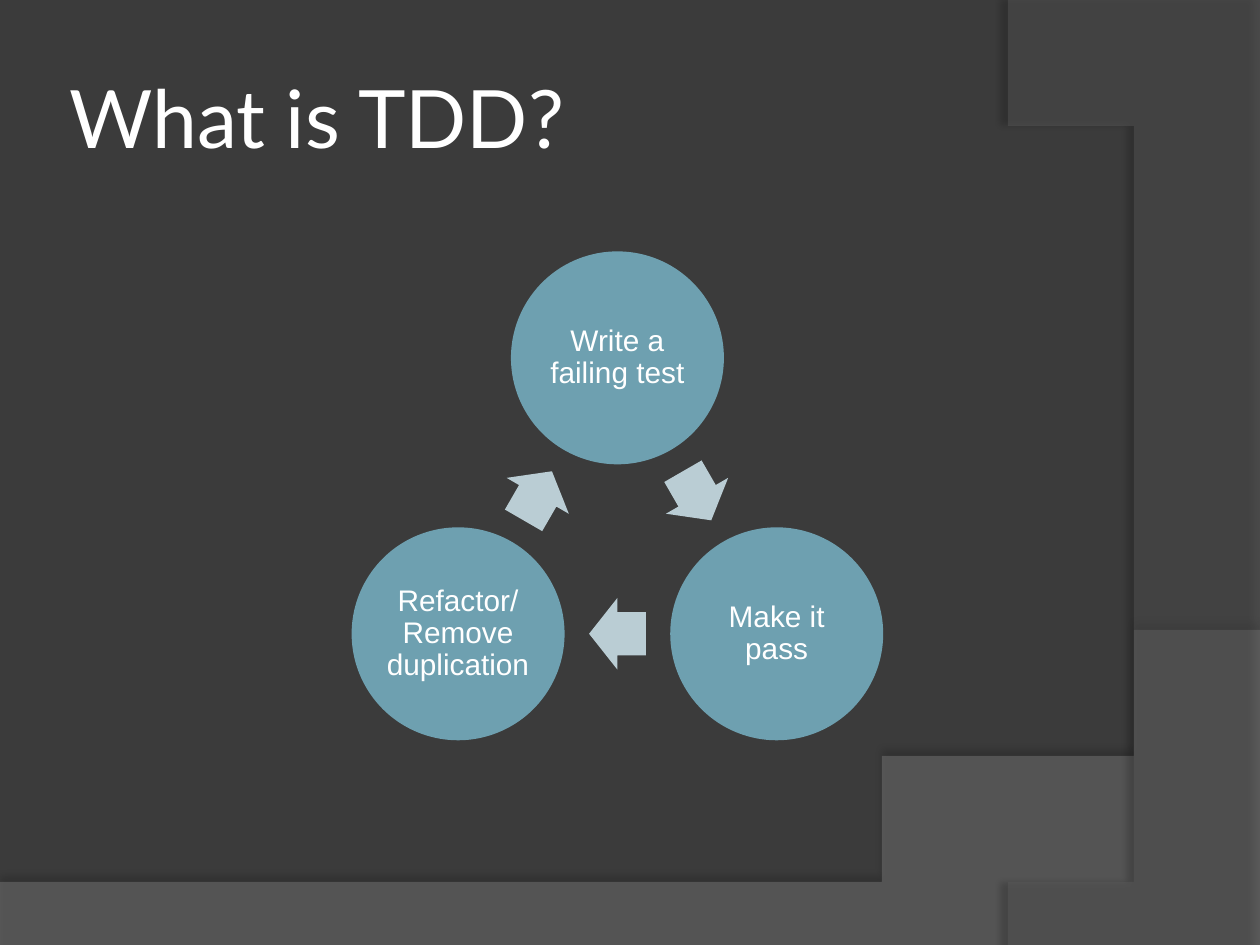
from math import cos, radians, sin

from lxml import etree
from pptx import Presentation
from pptx.dml.color import RGBColor
from pptx.enum.shapes import MSO_SHAPE as Shape
from pptx.enum.text import MSO_ANCHOR as Anchor, PP_ALIGN as Align
from pptx.oxml.ns import qn
from pptx.util import Inches, Pt

COLORS = {
    "back": "3B3B3B", "wave": "7F7F7F", "side": "5E5E5E", "shade": "000000",
    "step": "6EA0B0", "arrow": "BACDD4", "text": "FFFFFF",
}


def color(name):
    return RGBColor.from_string(COLORS[name])


def curve(a, b, c, d, count=60):
    """Points along a cubic curve from a to d."""
    points = []
    for i in range(count + 1):
        t = i / count
        u = 1 - t
        points.append(tuple(
            u**3 * p + 3 * u * u * t * q + 3 * u * t * t * r + t**3 * s
            for p, q, r, s in zip(a, b, c, d)))
    return points


class Deck:
    def __init__(self, font="Arial"):
        self.font = font
        self.prs = Presentation()
        self.prs.slide_width = Inches(10)
        self.prs.slide_height = Inches(7.5)
        self.slide = self.prs.slides.add_slide(self.prs.slide_layouts[6])
        fill = self.slide.background.fill
        fill.solid()
        fill.fore_color.rgb = color("back")

    def paint(self, shape, fill):
        shape.shadow.inherit = False
        shape.fill.solid()
        shape.fill.fore_color.rgb = color(fill)
        shape.line.fill.background()

    def label(self, shape, text, size, inset, font=None, align=Align.LEFT):
        frame = shape.text_frame
        frame.text = text
        frame.word_wrap = True
        frame.vertical_anchor = Anchor.MIDDLE
        frame.margin_left = frame.margin_right = Inches(inset)
        frame.margin_top = frame.margin_bottom = Inches(inset)
        para = frame.paragraphs[0]
        para.alignment = align
        style = para.runs[0].font
        style.name = font or self.font
        style.size = Pt(size)
        style.color.rgb = color("text")
        return para

    def title(self, text):
        box = self.slide.shapes.add_textbox(
            Inches(0.5), Inches(0.3), Inches(8.17), Inches(1.25))
        self.label(box, text, 46, 0.05, "Lato")

    def sweep(self, points, fill, alpha, shade, dist, angle):
        """A see-through background area with a soft shadow."""
        build = self.slide.shapes.build_freeform(
            *points[0], scale=Inches(1))
        build.add_line_segments(points[1:], close=True)
        shape = build.convert_to_shape()
        self.paint(shape, fill)
        props = shape._element.spPr
        tone = props.find(qn("a:solidFill"))[0]
        etree.SubElement(tone, qn("a:alpha"), val=str(alpha * 1000))
        glow = etree.SubElement(
            props.find(qn("a:effectLst")), qn("a:outerShdw"),
            blurRad=str(Pt(4)), dist=str(Pt(dist)), dir=str(angle * 60000),
            algn="ctr", rotWithShape="0")
        tone = etree.SubElement(glow, qn("a:srgbClr"), val=COLORS["shade"])
        etree.SubElement(tone, qn("a:alpha"), val=str(shade * 1000))

    def centred(self, kind, x, y, wide, high, fill):
        shape = self.slide.shapes.add_shape(
            kind, Inches(x - wide / 2), Inches(y - high / 2),
            Inches(wide), Inches(high))
        self.paint(shape, fill)
        return shape

    def step(self, x, y, text):
        disc = self.centred(Shape.OVAL, x, y, 1.69, 1.69, "step")
        para = self.label(disc, text, 17, 0.02, align=Align.CENTER)
        para.line_spacing = 0.9

    def arrow(self, x, y, turn):
        shape = self.centred(Shape.RIGHT_ARROW, x, y, 0.45, 0.57, "arrow")
        shape.adjustments[0] = 0.6
        shape.adjustments[1] = 0.5
        shape.rotation = turn

    def cycle(self, x, y, radius, steps):
        """Steps on a ring, with an arrow midway to each next one."""
        gap = 360 / len(steps)
        for i, text in enumerate(steps):
            angle = radians(i * gap - 90)
            self.step(x + radius * cos(angle), y + radius * sin(angle), text)
            turn = (i + 0.5) * gap
            mid = radians(turn - 90)
            reach = radius * cos(radians(gap / 2))
            self.arrow(x + reach * cos(mid), y + reach * sin(mid), turn)


def main():
    deck = Deck()

    # Background sweeps
    wave = curve((10, 5.2), (5.59, 7.29), (3.91, 7.19), (0, 7.05))
    deck.sweep([(0, 7.5), (10, 7.5)] + wave, "wave", 45, 35, 3.5, 270)
    side = curve((8.21, 7.5), (9.35, 6.19), (10.18, 3), (8, 0))
    deck.sweep([(10, 0.02), (10, 7.5)] + side, "side", 40, 45, 4, 180)

    # Title and cycle
    deck.title("What is TDD?")
    deck.cycle(4.9, 4.3, 1.46, [
        "Write a failing test", "Make it pass",
        "Refactor/Remove duplication"])

    deck.prs.save("out.pptx")


if __name__ == "__main__":
    main()
